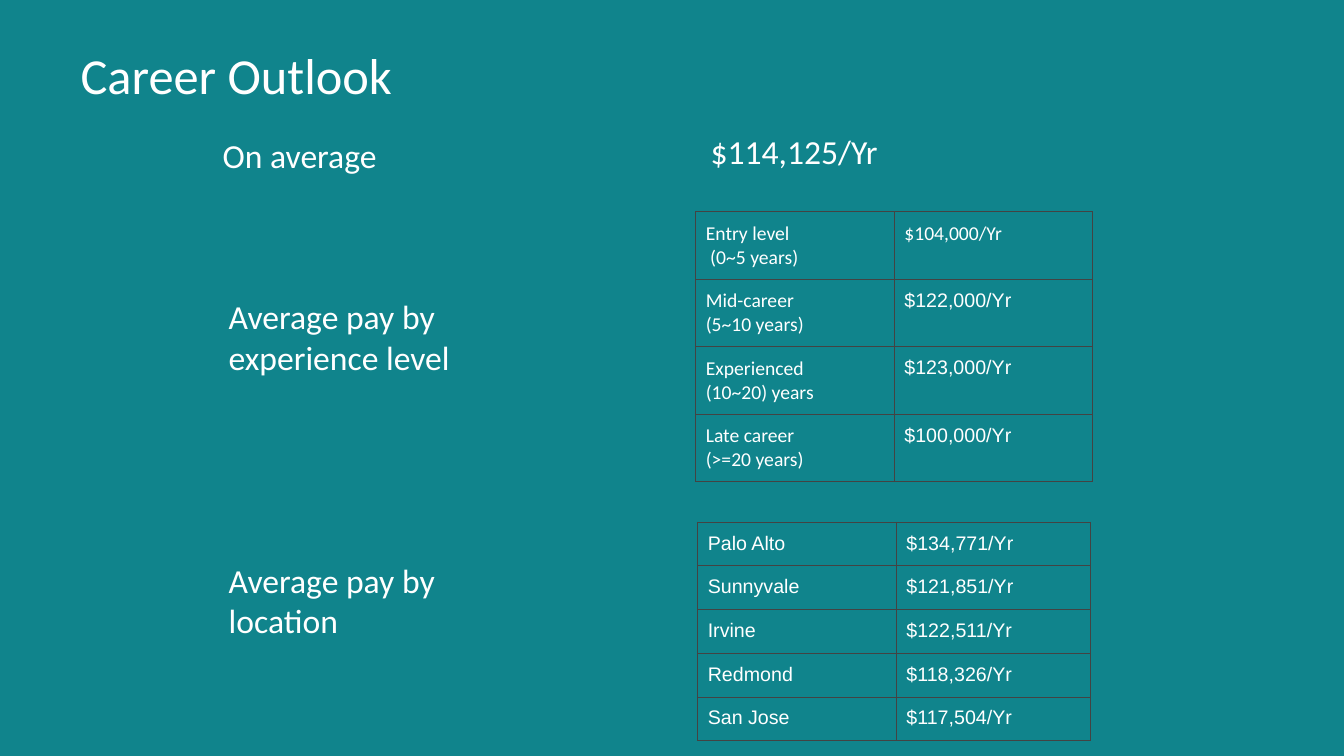
from lxml import etree
from pptx import Presentation
from pptx.dml.color import RGBColor
from pptx.enum.text import MSO_ANCHOR
from pptx.oxml.ns import qn
from pptx.util import Inches, Pt

MIDDLE, TOP = MSO_ANCHOR.MIDDLE, MSO_ANCHOR.TOP
COLORS = {"background": "10848C", "text": "FFFFFF", "border": "434343"}


def format_text(tf, size, font):
    for p in tf.paragraphs:
        for r in p.runs:
            r.font.size = Pt(size)
            r.font.name = font
            r.font.color.rgb = RGBColor.from_string(COLORS["text"])


def add_border(cell):
    tcPr = cell._tc.get_or_add_tcPr()
    for side in ("a:lnL", "a:lnR", "a:lnT", "a:lnB"):
        ln = etree.SubElement(tcPr, qn(side), w=str(Pt(0.75)))
        fill = etree.SubElement(ln, qn("a:solidFill"))
        etree.SubElement(fill, qn("a:srgbClr"), val=COLORS["border"])


prs = Presentation()
prs.slide_width = Inches(13.33)
prs.slide_height = Inches(7.5)
s = prs.slides.add_slide(prs.slide_layouts[6])
s.background.fill.solid()
s.background.fill.fore_color.rgb = RGBColor.from_string(COLORS["background"])

labels = [
    ("Career Outlook", 0.67, 0.3, 12, 0.78, 36, MIDDLE, 0.13, 0.07, 1.15),
    ("On average", 2.11, 1.24, 3.27, 0.86, 24, TOP, 0.1, 0.1, 1),
    ("Average pay by experience level", 2.17, 2.84, 3.35, 0.61, 24, TOP, 0.1, 0.1, 1),
    ("Average pay by location", 2.17, 5.45, 3.35, 1.15, 24, TOP, 0.1, 0.1, 1),
    ("$114,125/Yr", 6.95, 1.2, 4.38, 0.93, 24, TOP, 0.1, 0.1, 1),
]
for text, x, y, w, h, size, anchor, inset_x, inset_y, spacing in labels:
    sp = s.shapes.add_textbox(Inches(x), Inches(y), Inches(w), Inches(h))
    tf = sp.text_frame
    tf.word_wrap = True
    tf.vertical_anchor = anchor
    tf.margin_left = tf.margin_right = Inches(inset_x)
    tf.margin_top = tf.margin_bottom = Inches(inset_y)
    tf.text = text
    tf.paragraphs[0].line_spacing = spacing
    format_text(tf, size, "Calibri")

pay_by_experience = [
    ("Entry level\n (0~5 years)", "$104,000/Yr"),
    ("Mid-career\n(5~10 years)", "$122,000/Yr"),
    ("Experienced\n(10~20) years", "$123,000/Yr"),
    ("Late career\n(>=20 years)", "$100,000/Yr"),
]
pay_by_location = [
    ("Palo Alto", "$134,771/Yr"),
    ("Sunnyvale", "$121,851/Yr"),
    ("Irvine", "$122,511/Yr"),
    ("Redmond", "$118,326/Yr"),
    ("San Jose", "$117,504/Yr"),
]
calibri_cells = {text for text, pay in pay_by_experience} | {"$104,000/Yr"}
tables = [
    (pay_by_experience, 6.9, 2.1, (1.97, 1.97), 0.67),
    (pay_by_location, 6.92, 5.18, (1.97, 1.93), 0.42),
]
for rows, x, y, widths, row_height in tables:
    frame = s.shapes.add_table(len(rows), 2, Inches(x), Inches(y),
                               Inches(sum(widths)), Inches(row_height * len(rows)))
    table = frame.table
    table.first_row = table.horz_banding = False
    for column, width in zip(table.columns, widths):
        column.width = Inches(width)
    for i, row in enumerate(rows):
        for j, text in enumerate(row):
            cell = table.cell(i, j)
            cell.margin_left = cell.margin_right = Inches(0.1)
            cell.margin_top = cell.margin_bottom = Inches(0.1)
            cell.text_frame.text = text
            format_text(cell.text_frame, 14, "Calibri" if text in calibri_cells else "Arial")
            add_border(cell)
            cell.fill.background()

prs.save("out.pptx")
